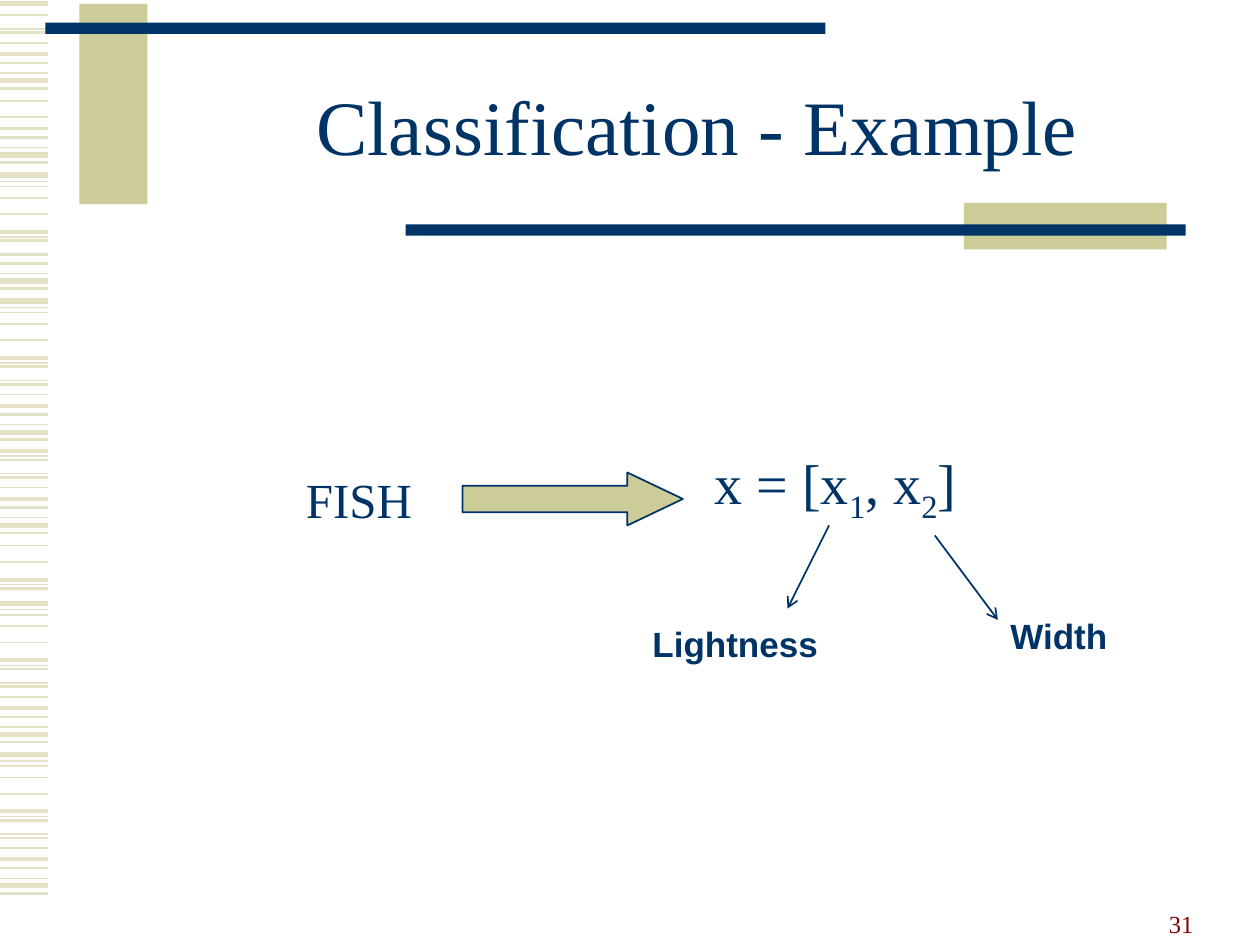
from lxml.etree import SubElement
from pptx import Presentation
from pptx.dml.color import RGBColor
from pptx.enum.shapes import MSO_CONNECTOR, MSO_SHAPE
from pptx.enum.text import MSO_ANCHOR as Anchor, MSO_AUTO_SIZE as AutoSize, PP_ALIGN as Align
from pptx.oxml.ns import qn
from pptx.util import Inches, Pt

COLORS = {"navy": "003366", "khaki": "CCCC99", "stripe": "E3E2C7", "maroon": "800000"}
SERIF, SANS = "Times New Roman", "Arial"
STRIPE_MOTIF = [
    (0, 1.5), (0.06, 3), (0.12, 0.75), (0.2, 1.5), (0.27, 2.25), (0.36, 1),
    (0.44, 1.5), (0.47, 0.75), (0.58, 1.5), (0.61, 0.75), (0.65, 2.25),
    (0.79, 1), (0.92, 1), (1.01, 1), (1.05, 0.75), (1.1, 3),
]
STRIPE_RUNS = [
    (7.09, 0, 16), (5.89, 0, 16), (5.25, 8, 13), (4.23, 0, 11), (3.49, 0, 16),
    (2.29, 0, 5), (2.49, 8, 16), (1.29, 0, 6), (1.59, 11, 12), (0.7, 0, 9), (0.09, 1, 2),
]


def color(name):
    """Return the named colour."""
    return RGBColor.from_string(COLORS[name])


def add_line(slide, start, end, line_color, weight, arrow=False):
    """Draw a straight line, with an open arrowhead at its end if asked."""
    points = [Inches(value) for value in (*start, *end)]
    connector = slide.shapes.add_connector(MSO_CONNECTOR.STRAIGHT, *points)
    connector.line.color.rgb = color(line_color)
    connector.line.width = Pt(weight)
    if arrow:
        SubElement(connector.line._get_or_add_ln(), qn("a:tailEnd"), type="arrow")
    SubElement(connector._element.spPr, qn("a:effectLst"))


def add_block(slide, preset, box, fill, line=None):
    """Draw a filled preset shape."""
    shape = slide.shapes.add_shape(preset, *[Inches(value) for value in box])
    shape.shadow.inherit = False
    shape.fill.solid()
    shape.fill.fore_color.rgb = color(fill)
    if line:
        shape.line.color.rgb = color(line)
        shape.line.width = Pt(1)
    else:
        shape.line.fill.background()
    return shape


def add_text(slide, box, runs, size, font=SERIF, text_color="navy", bold=False,
             align=Align.LEFT, anchor=Anchor.TOP, wrap=True):
    """Add one paragraph of (text, is_subscript) runs and return it."""
    frame = slide.shapes.add_textbox(*[Inches(value) for value in box]).text_frame
    frame.word_wrap = wrap
    frame.auto_size = AutoSize.NONE if wrap else AutoSize.SHAPE_TO_FIT_TEXT
    frame.vertical_anchor = anchor
    paragraph = frame.paragraphs[0]
    paragraph.alignment = align
    for text, is_subscript in runs:
        run = paragraph.add_run()
        run.text = text
        run.font.name = font
        run.font.size = Pt(size)
        run.font.bold = bold
        run.font.color.rgb = color(text_color)
        if is_subscript:
            run.font._element.set("baseline", "-25000")
    return paragraph


def add_stripes(slide, left, top, width):
    """Draw the striped left edge from its repeating motif."""
    for base, first, last in STRIPE_RUNS:
        for offset, weight in STRIPE_MOTIF[first:last]:
            y = top + base - offset
            add_line(slide, (left, y), (left + width, y), "stripe", weight)


def add_header(slide, left, top):
    """Draw the header bars and the title."""
    bars = [
        (0.27, 0, 0.54, 1.59, "khaki"), (0, 0.15, 6.19, 0.09, "navy"),
        (7.29, 1.58, 1.61, 0.37, "khaki"), (2.86, 1.75, 6.19, 0.09, "navy"),
    ]
    for x, y, width, height, fill in bars:
        add_block(slide, MSO_SHAPE.RECTANGLE, (left + x, top + y, width, height), fill)
    title = add_text(slide, (left + 1.14, top + 0.39, 8.07, 1.25),
                     [("Classification - Example", False)], 44,
                     align=Align.CENTER, anchor=Anchor.MIDDLE)
    title.line_spacing = 0.85


def add_feature_diagram(slide, left, top):
    """Draw the step from a fish to its two features."""
    formula = [("x = [x", False), ("1", True), (", x", False), ("2", True), ("]", False)]
    vector = add_text(slide, (left + 3.09, top, 2.42, 0.91), formula, 32, align=Align.CENTER)
    vector.space_before = Pt(6.4)
    arrow = add_block(slide, MSO_SHAPE.RIGHT_ARROW, (left + 1.34, top + 0.24, 1.75, 0.42),
                      "khaki", "navy")
    arrow.adjustments[0] = 0.5
    arrow.adjustments[1] = 1.05
    features = [
        ("Lightness", (2.75, 1.38, 1.55, 0.43), (4.25, 0.66), (3.92, 1.32)),
        ("Width", (5.59, 1.32, 1, 0.43), (5.09, 0.74), (5.59, 1.41)),
    ]
    for name, (x, y, width, height), start, end in features:
        add_text(slide, (left + x, top + y, width, height), [(name, False)], 20,
                 font=SANS, bold=True, wrap=False)
        add_line(slide, (left + start[0], top + start[1]), (left + end[0], top + end[1]),
                 "navy", 1, arrow=True)
    add_text(slide, (left, top + 0.17, 1.08, 0.57), [("FISH", False)], 28, wrap=False)


def add_page_number(slide, box):
    """Place the page number."""
    add_text(slide, box, [("31", False)], 14, text_color="maroon",
             align=Align.RIGHT, anchor=Anchor.BOTTOM)


def main():
    """Build and save the slide."""
    presentation = Presentation()
    presentation.slide_width = Inches(10)
    presentation.slide_height = Inches(7.5)
    slide = presentation.slides.add_slide(presentation.slide_layouts[6])
    add_stripes(slide, -0.33, 0, 0.71)
    add_header(slide, 0.36, 0.03)
    add_page_number(slide, (7.17, 7, 2.4, 0.5))
    add_feature_diagram(slide, 2.33, 3.51)
    presentation.save("out.pptx")


if __name__ == "__main__":
    main()
